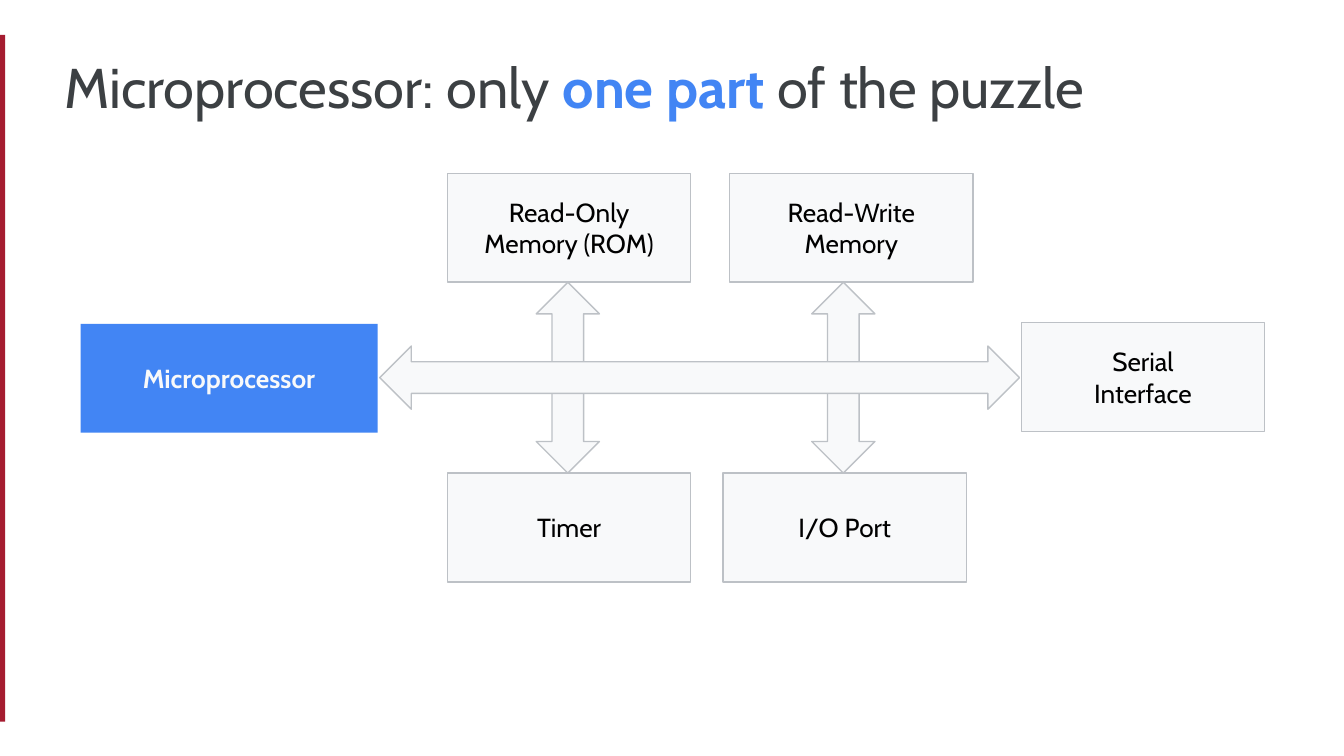
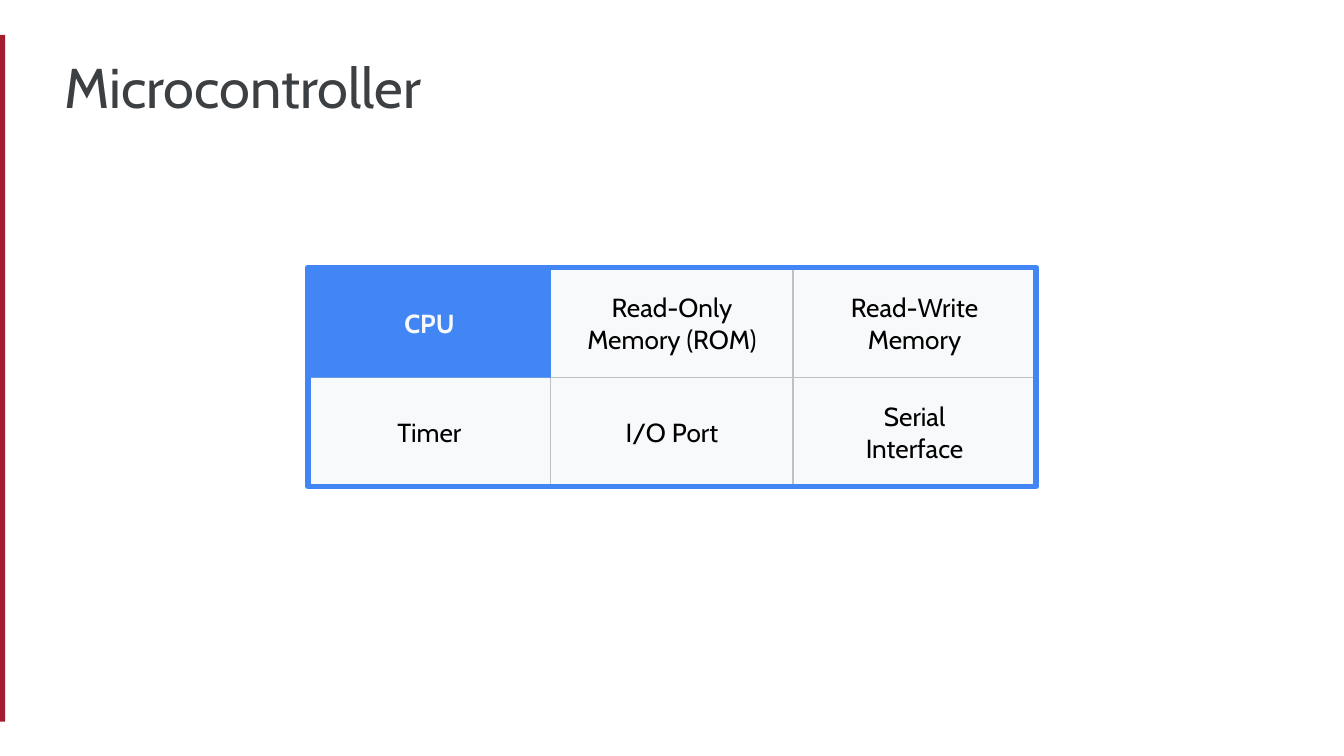
from dataclasses import dataclass
from typing import Optional

from pptx import Presentation
from pptx.dml.color import RGBColor
from pptx.enum.shapes import MSO_SHAPE
from pptx.enum.text import MSO_ANCHOR, MSO_AUTO_SIZE, PP_ALIGN
from pptx.util import Emu, Pt

RECTANGLE = MSO_SHAPE.RECTANGLE
TWO_WAY_ARROW = MSO_SHAPE.UP_DOWN_ARROW
TOP, MIDDLE = MSO_ANCHOR.TOP, MSO_ANCHOR.MIDDLE
LEFT, CENTER = PP_ALIGN.LEFT, PP_ALIGN.CENTER
NO_AUTOFIT = MSO_AUTO_SIZE.NONE

EMU_PER_PX = 4572
TITLE_ONLY = 5


@dataclass(frozen=True)
class Theme:
    font: str = "Cabin"
    crimson: str = "A51C30"
    blue: str = "4285F4"
    pale: str = "F8F9FA"
    outline: str = "BDC1C6"
    heading: str = "3C4043"
    body: str = "000000"
    title_size: int = 30
    label_size: int = 14
    thin_line: float = 0.75
    frame_line: float = 3


@dataclass(frozen=True)
class Area:
    left: int
    top: int
    width: int
    height: int


@dataclass(frozen=True)
class Block:
    label: str
    area: Area
    main: bool = False


@dataclass(frozen=True)
class Arrow:
    area: Area
    rotation: int = 0


@dataclass(frozen=True)
class Span:
    text: str
    strong: bool = False


THEME = Theme()
SLIDE_WIDTH, SLIDE_HEIGHT = 2000, 1125
TITLE_AREA = Area(76, 58, 1706, 118)
SIDE_BAR = Area(-4, 52, 12, 1022)
INSET = 20
BLOCK_WIDTH, BLOCK_HEIGHT = 362, 162
ARROW_WIDTH = 94

ROM = "Read-Only Memory (ROM)"
READ_WRITE = "Read-Write Memory"
TIMER = "Timer"
PORT = "I/O Port"
SERIAL = "Serial\nInterface"

UPPER_ROW, LOWER_ROW = 258, 704
ARROW_TOP = UPPER_ROW + BLOCK_HEIGHT
ARROW_HEIGHT = LOWER_ROW - ARROW_TOP

PUZZLE_TITLE = [
    Span("Microprocessor: only "),
    Span("one part", strong=True),
    Span(" of the puzzle"),
]
PUZZLE_BLOCKS = [
    Block(ROM, Area(666, UPPER_ROW, BLOCK_WIDTH, BLOCK_HEIGHT)),
    Block(READ_WRITE, Area(1086, UPPER_ROW, BLOCK_WIDTH, BLOCK_HEIGHT)),
    Block(TIMER, Area(666, LOWER_ROW, BLOCK_WIDTH, BLOCK_HEIGHT)),
    Block(PORT, Area(1076, LOWER_ROW, BLOCK_WIDTH, BLOCK_HEIGHT)),
    Block(SERIAL, Area(1520, 480, BLOCK_WIDTH, BLOCK_HEIGHT)),
    Block("Microprocessor", Area(120, 482, 442, BLOCK_HEIGHT), main=True),
]
BUS_ARROWS = [
    Arrow(Area(798, ARROW_TOP, ARROW_WIDTH, ARROW_HEIGHT)),
    Arrow(Area(1208, ARROW_TOP, ARROW_WIDTH, ARROW_HEIGHT)),
    Arrow(Area(994, 86, ARROW_WIDTH, 952), rotation=90),
]

CHIP_TITLE = [Span("Microcontroller")]
CHIP_LEFT, CHIP_TOP, CHIP_COLUMN_STEP = 458, 400, 361
CHIP_ROWS = [["CPU", ROM, READ_WRITE], [TIMER, PORT, SERIAL]]
CHIP_FRAME = Area(CHIP_LEFT, CHIP_TOP - 2, 1084, 326)


def px(length: int) -> Emu:
    return Emu(length * EMU_PER_PX)


def place(shape, area: Area) -> None:
    shape.left, shape.top = px(area.left), px(area.top)
    shape.width, shape.height = px(area.width), px(area.height)


def add_text(para, text: str, *, size: int, color: str, bold: bool = False) -> None:
    span = para.add_run()
    span.text = text
    span.font.name = THEME.font
    span.font.size = Pt(size)
    span.font.bold = bold
    span.font.color.rgb = RGBColor.from_string(color)


def prepare_frame(frame, anchor) -> None:
    frame.word_wrap = True
    frame.auto_size = NO_AUTOFIT
    frame.vertical_anchor = anchor
    frame.margin_left = frame.margin_right = px(INSET)
    frame.margin_top = frame.margin_bottom = px(INSET)


def add_box(page, area: Area, *, kind=RECTANGLE, fill: Optional[str] = None,
            line: Optional[str] = None, line_width: float = THEME.thin_line):
    box = page.shapes.add_shape(kind, px(area.left), px(area.top),
                                px(area.width), px(area.height))
    box.shadow.inherit = False
    if fill:
        box.fill.solid()
        box.fill.fore_color.rgb = RGBColor.from_string(fill)
    else:
        box.fill.background()
    if line:
        box.line.color.rgb = RGBColor.from_string(line)
        box.line.width = Pt(line_width)
    else:
        box.line.fill.background()
    return box


def add_block(page, block: Block) -> None:
    box = add_box(page, block.area,
                  fill=THEME.blue if block.main else THEME.pale,
                  line=None if block.main else THEME.outline)
    frame = box.text_frame
    prepare_frame(frame, MIDDLE)
    for index, text in enumerate(block.label.split("\n")):
        para = frame.add_paragraph() if index else frame.paragraphs[0]
        para.alignment = CENTER
        add_text(para, text, size=THEME.label_size, bold=block.main,
                 color=THEME.pale if block.main else THEME.body)


def add_arrow(page, arrow: Arrow) -> None:
    shape = add_box(page, arrow.area, kind=TWO_WAY_ARROW,
                    fill=THEME.pale, line=THEME.outline)
    shape.rotation = arrow.rotation


def add_page(deck, title: list[Span]):
    page = deck.slides.add_slide(deck.slide_layouts[TITLE_ONLY])
    heading = page.shapes.title
    place(heading, TITLE_AREA)
    prepare_frame(heading.text_frame, TOP)
    para = heading.text_frame.paragraphs[0]
    para.alignment = LEFT
    for span in title:
        add_text(para, span.text, size=THEME.title_size, bold=span.strong,
                 color=THEME.blue if span.strong else THEME.heading)
    return page


def add_side_bar(page) -> None:
    bar = add_box(page, SIDE_BAR, fill=THEME.crimson)
    page.slide_layout.shapes.element.append(bar.element)


def build_puzzle(deck) -> None:
    page = add_page(deck, PUZZLE_TITLE)
    add_side_bar(page)
    for block in PUZZLE_BLOCKS:
        add_block(page, block)
    for arrow in BUS_ARROWS:
        add_arrow(page, arrow)


def build_chip(deck) -> None:
    page = add_page(deck, CHIP_TITLE)
    blocks = [
        Block(label,
              Area(CHIP_LEFT + column * CHIP_COLUMN_STEP,
                   CHIP_TOP + row * BLOCK_HEIGHT, BLOCK_WIDTH, BLOCK_HEIGHT),
              main=row == column == 0)
        for row, labels in enumerate(CHIP_ROWS)
        for column, label in enumerate(labels)
    ]
    for block in sorted(blocks, key=lambda block: block.main):
        add_block(page, block)
    add_box(page, CHIP_FRAME, line=THEME.blue, line_width=THEME.frame_line)


def main() -> None:
    deck = Presentation()
    deck.slide_width, deck.slide_height = px(SLIDE_WIDTH), px(SLIDE_HEIGHT)
    build_puzzle(deck)
    build_chip(deck)
    deck.save("out.pptx")


if __name__ == "__main__":
    main()
